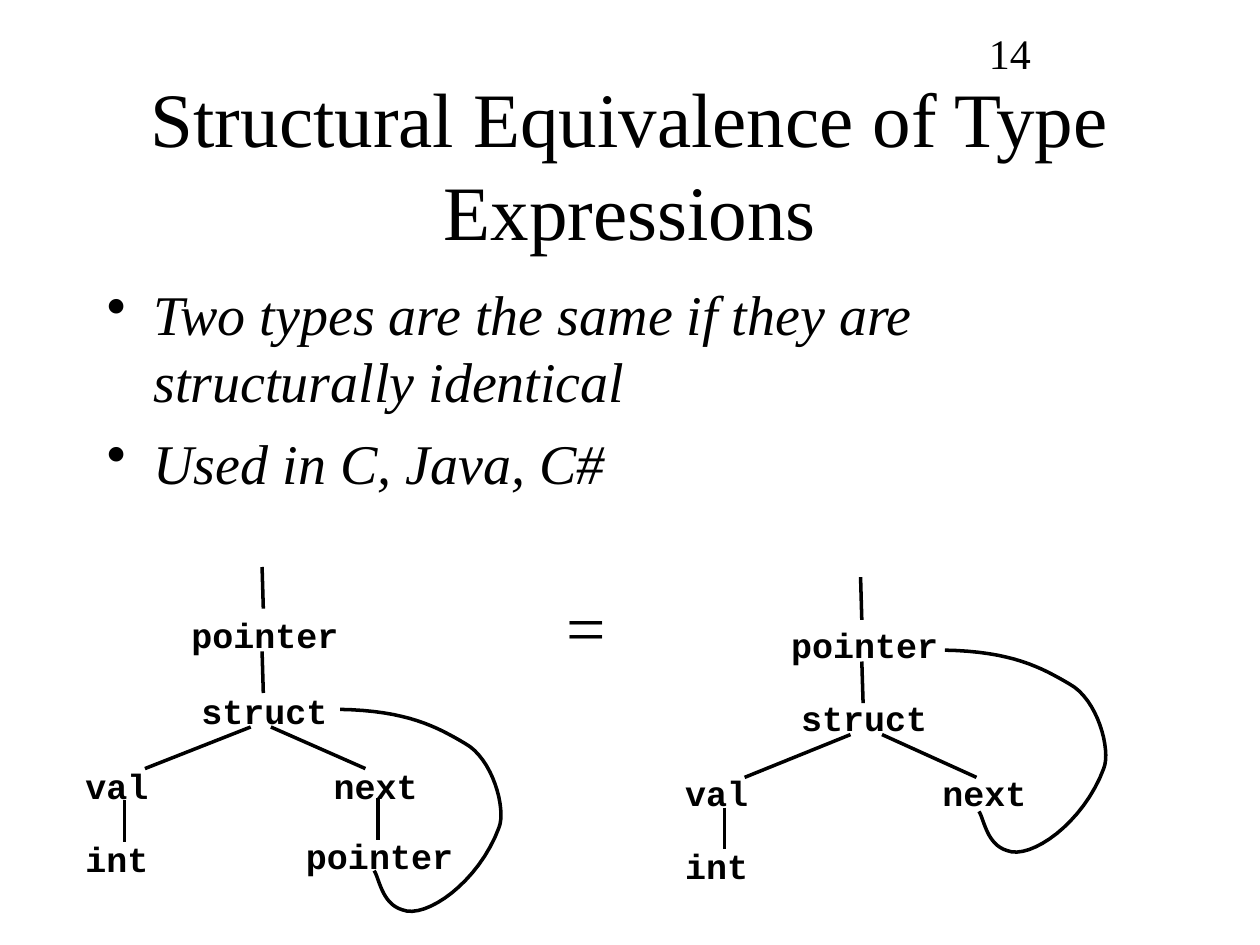
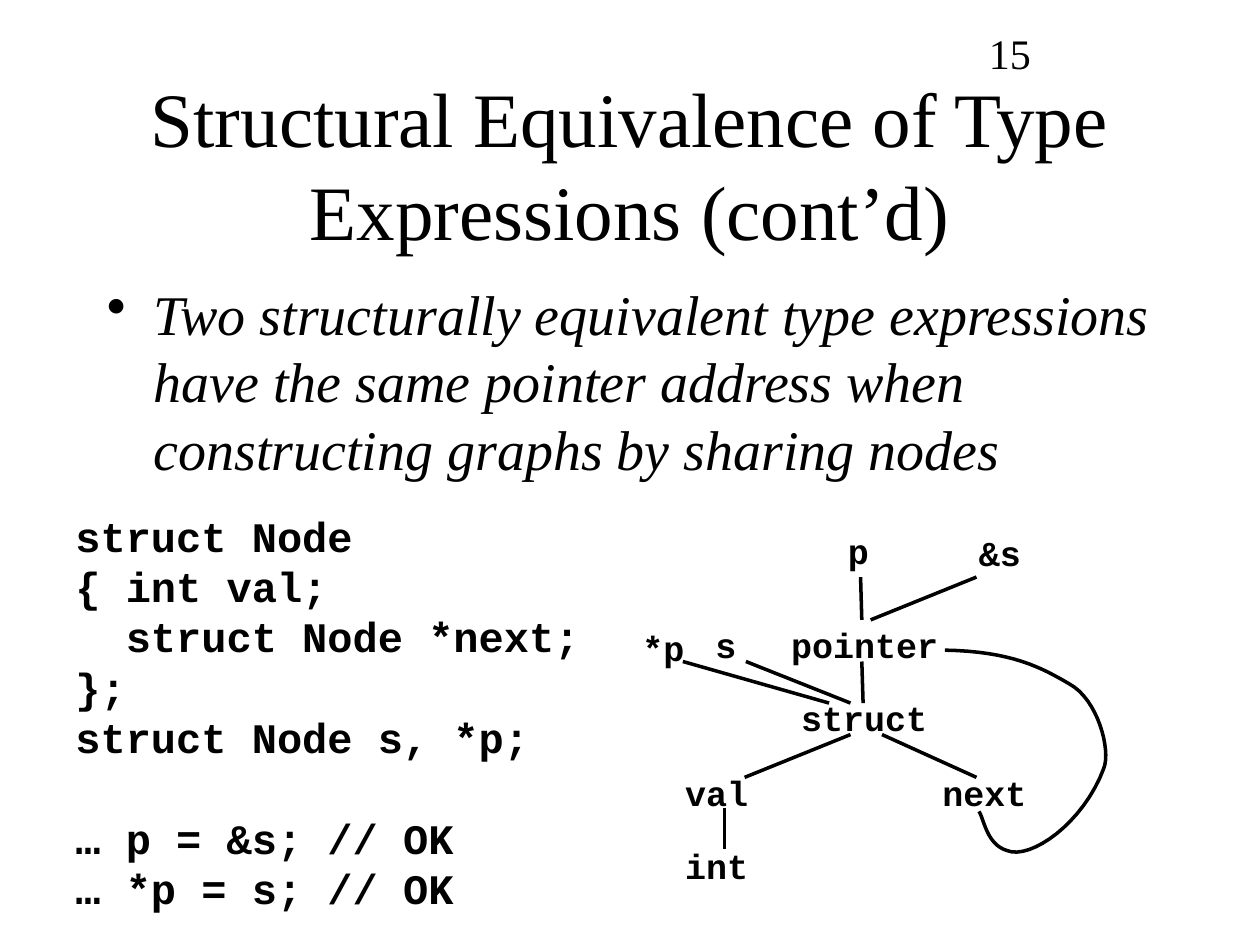
import lxml.etree
import pptx
import pptx.dml.color
import pptx.enum.shapes
import pptx.enum.text
import pptx.oxml.ns
import pptx.util

Inches = pptx.util.Inches
Pt = pptx.util.Pt
qn = pptx.oxml.ns.qn

INK = pptx.dml.color.RGBColor(0x00, 0x00, 0x00)
PAPER = pptx.dml.color.RGBColor(0xFF, 0xFF, 0xFF)
SERIF = "Times New Roman"
MONO = "Courier New"
BULLET_INDENT = Inches(0.37)
CURVE_STEPS = 16

UNSHARED_LABELS = [
    ("pointer", 0.84, 0.32), ("struct", 0.92, 0.92), ("val", 0, 1.52),
    ("next", 1.97, 1.52), ("int", 0, 2.1), ("pointer", 1.75, 2.07),
]
UNSHARED_EDGES = [
    (1.5, 0, 1.51, 0.33), (1.5, 0.67, 1.51, 1), (1.41, 1.27, 0.57, 1.6),
    (1.57, 1.27, 2.32, 1.6), (0.41, 1.85, 0.41, 2.18), (2.42, 1.83, 2.42, 2.17),
]
SHARED_LABELS = [
    ("pointer", 0.84, 0.32), ("struct", 0.92, 0.9), ("val", 0, 1.49),
    ("next", 2.04, 1.49), ("int", 0, 2.07),
]
SHARED_EDGES = [
    (1.49, 0, 1.5, 0.34), (1.5, 0.67, 1.51, 1), (1.41, 1.25, 0.57, 1.59),
    (1.66, 1.25, 2.41, 1.59), (0.41, 1.83, 0.41, 2.16),
]
VARIABLE_LABELS = [
    ("p", 1.29, -0.43), ("&s", 2.33, -0.41), ("*p", -0.34, 0.34), ("s", 0.24, 0.32),
]
VARIABLE_EDGES = [
    (2.41, 0, 1.57, 0.34), (0.08, 0.67, 1.24, 1), (0.58, 0.67, 1.41, 1),
]
BACK_EDGE_START = (0.27, 1.28)
BACK_EDGE_CURVES = [
    ((0.31, 1.34), (0.33, 1.54), (0.49, 1.59)),
    ((0.68, 1.67), (1.1, 1.37), (1.26, 0.94)),
    ((1.32, 0.79), (1.21, 0.39), (0.99, 0.27)),
    ((0.77, 0.14), (0.53, 0.01), (0, 0)),
]
CODE = [
    "struct Node\v{ int val;\v  struct Node *next;\v};\vstruct Node s, *p;",
    "… p = &s; // OK\v… *p = s; // OK",
]


def add_text(page, left, top, width, height, texts, size, font=SERIF, bold=False, wrap=True):
    box = page.shapes.add_textbox(Inches(left), Inches(top), Inches(width), Inches(height))
    frame = box.text_frame
    frame.word_wrap = wrap
    for index, text in enumerate(texts):
        para = frame.paragraphs[0] if index == 0 else frame.add_paragraph()
        para.text = text
        para.font.name = font
        para.font.size = Pt(size)
        para.font.bold = bold
        para.font.color.rgb = INK
    return frame


def add_title(page, text):
    frame = add_text(page, 0.75, 0.67, 8.5, 1.25, [text], 44)
    frame.vertical_anchor = pptx.enum.text.MSO_ANCHOR.MIDDLE
    frame.paragraphs[0].alignment = pptx.enum.text.PP_ALIGN.CENTER


def add_bullets(page, texts):
    frame = add_text(page, 0.75, 2.17, 8.5, 4.5, texts, 32)
    for index, para in enumerate(frame.paragraphs):
        if index:
            para.space_before = Pt(8)
        properties = para._p.get_or_add_pPr()
        properties.set("marL", str(BULLET_INDENT))
        properties.set("indent", str(-BULLET_INDENT))
        bullet = lxml.etree.Element(qn("a:buChar"), char="•")
        properties.insert_element_before(bullet, "a:tabLst", "a:defRPr", "a:extLst")
        para.font.italic = True


def add_code(page, left, top, blocks):
    frame = add_text(page, left, top, 4.2, 3.3, blocks, 24, MONO, True, wrap=False)
    for para in frame.paragraphs[1:]:
        para.space_before = Pt(28.8)


def style_line(line):
    line.color.rgb = INK
    line.width = Pt(2)


def add_edge(page, x1, y1, x2, y2):
    edge = page.shapes.add_connector(
        pptx.enum.shapes.MSO_CONNECTOR.STRAIGHT,
        Inches(x1), Inches(y1), Inches(x2), Inches(y2))
    style_line(edge.line)
    lxml.etree.SubElement(edge._element.spPr, qn("a:effectLst"))


def curve_points(start, controls):
    for step in range(1, CURVE_STEPS + 1):
        t = step / CURVE_STEPS
        weights = ((1 - t) ** 3, 3 * t * (1 - t) ** 2, 3 * t * t * (1 - t), t ** 3)
        yield tuple(
            sum(weight * point[axis] for weight, point in zip(weights, (start, *controls)))
            for axis in (0, 1))


def add_back_edge(page, left, top):
    points = [BACK_EDGE_START]
    for controls in BACK_EDGE_CURVES:
        points.extend(curve_points(points[-1], controls))
    placed = [(Inches(left + x), Inches(top + y)) for x, y in points]
    builder = page.shapes.build_freeform(*placed[0])
    builder.add_line_segments(placed[1:], close=False)
    loop = builder.convert_to_shape()
    loop.shadow.inherit = False
    loop.fill.background()
    style_line(loop.line)


def add_labels_and_edges(page, left, top, labels, edges):
    for text, x, y in labels:
        add_text(page, left + x, top + y, 0.2 + len(text) / 6, 0.44, [text], 20,
                 MONO, True, wrap=False)
    for x1, y1, x2, y2 in edges:
        add_edge(page, left + x1, top + y1, left + x2, top + y2)


def add_unshared_graph(page, left, top):
    add_labels_and_edges(page, left, top, UNSHARED_LABELS, UNSHARED_EDGES)
    add_back_edge(page, left + 2.12, top + 1.13)


def add_shared_graph(page, left, top):
    add_labels_and_edges(page, left, top, SHARED_LABELS, SHARED_EDGES)
    add_back_edge(page, left + 2.16, top + 0.58)


def add_page(deck, number, title, bullets):
    page = deck.slides.add_slide(deck.slide_layouts[6])
    page.background.fill.solid()
    page.background.fill.fore_color.rgb = PAPER
    add_title(page, title)
    add_bullets(page, bullets)
    add_text(page, 7.75, 0.17, 2.08, 0.49, [str(number)], 24)
    return page


def add_equivalence_page(deck):
    page = add_page(deck, 14, "Structural Equivalence of Type Expressions", [
        "Two types are the same if they are structurally identical",
        "Used in C, Java, C#",
    ])
    add_unshared_graph(page, 0.58, 4.5)
    add_text(page, 4.4, 4.58, 0.51, 0.77, ["="], 40, wrap=False)
    add_shared_graph(page, 5.34, 4.58)


def add_sharing_page(deck):
    page = add_page(deck, 15, "Structural Equivalence of Type Expressions (cont’d)", [
        "Two structurally equivalent type expressions have the same pointer address "
        "when constructing graphs by sharing nodes",
    ])
    add_code(page, 0.5, 4, CODE)
    add_shared_graph(page, 5.34, 4.58)
    add_labels_and_edges(page, 5.34, 4.58, VARIABLE_LABELS, VARIABLE_EDGES)


def main():
    deck = pptx.Presentation()
    deck.slide_width = Inches(10)
    deck.slide_height = Inches(7.5)
    add_equivalence_page(deck)
    add_sharing_page(deck)
    deck.save("out.pptx")


if __name__ == "__main__":
    main()
